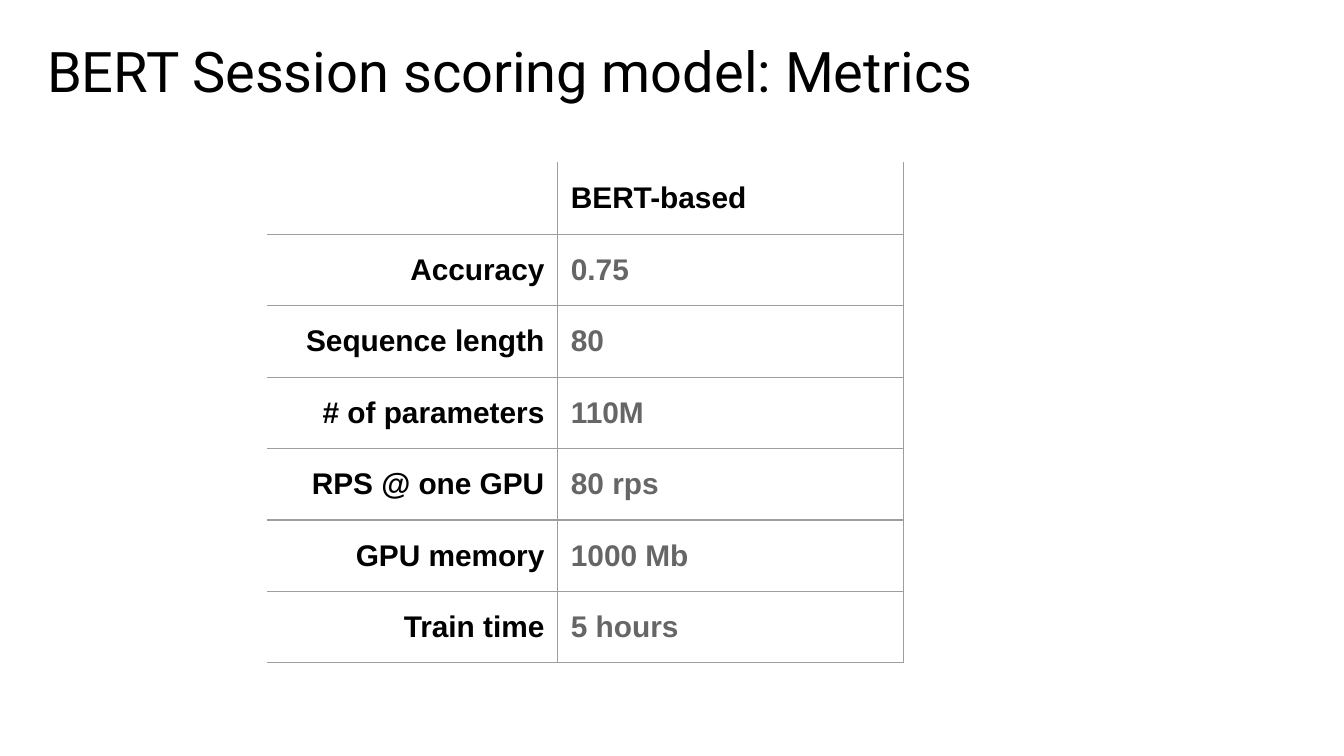
from lxml.etree import SubElement
from pptx import Presentation
from pptx.dml.color import RGBColor
from pptx.enum.text import MSO_ANCHOR, PP_ALIGN
from pptx.oxml.ns import qn
from pptx.util import Cm, Pt

BLACK = "000000"
GREY = "666666"
BORDER = "9E9E9E"
INSET = Cm(0.25)
METRICS = [
    ("", "BERT-based"),
    ("Accuracy", "0.75"),
    ("Sequence length", "80"),
    ("# of parameters", "110M"),
    ("RPS @ one GPU", "80 rps"),
    ("GPU memory", "1000 Mb"),
    ("Train time", "5 hours"),
]


def color(value):
    return RGBColor.from_string(value)


def set_insets(target):
    target.margin_left = target.margin_right = INSET
    target.margin_top = target.margin_bottom = INSET


def format_text(paragraph, font_name, size, font_color, bold=False):
    font = paragraph.runs[0].font if paragraph.runs else paragraph.font
    font.name = font_name
    font.size = Pt(size)
    font.bold = bold
    font.color.rgb = color(font_color)


def add_title(slide, text):
    shape = slide.shapes.add_textbox(Cm(0.64), Cm(0.45), Cm(22.4), Cm(1.7))
    text_frame = shape.text_frame
    text_frame.word_wrap = True
    set_insets(text_frame)
    text_frame.text = text
    format_text(text_frame.paragraphs[0], "Roboto", 30, BLACK)


def add_borders(cell, sides):
    properties = cell._tc.get_or_add_tcPr()
    for side in sides:
        line = SubElement(properties, qn(f"a:ln{side}"), w=str(Pt(0.75)))
        fill = SubElement(line, qn("a:solidFill"))
        SubElement(fill, qn("a:srgbClr"), val=BORDER)


def fill_cell(cell, text, font_color, alignment, sides):
    add_borders(cell, sides)
    cell.fill.background()
    set_insets(cell)
    cell.vertical_anchor = MSO_ANCHOR.MIDDLE
    cell.text_frame.text = text
    paragraph = cell.text_frame.paragraphs[0]
    paragraph.alignment = alignment
    format_text(paragraph, "Arial", 16, font_color, bold=True)


def add_metrics_table(slide):
    row_height = Cm(1.35)
    frame = slide.shapes.add_table(
        len(METRICS), 2, Cm(5.07), Cm(3.08), Cm(12), row_height * len(METRICS)
    )
    table = frame.table
    table.first_row = False
    table.horz_banding = False
    for column, width in zip(table.columns, (5.47, 6.53)):
        column.width = Cm(width)
    for index, (label, value) in enumerate(METRICS):
        is_header = index == 0
        top = "" if is_header else "T"
        value_color = BLACK if is_header else GREY
        table.rows[index].height = row_height
        fill_cell(table.cell(index, 0), label, BLACK, PP_ALIGN.RIGHT, f"R{top}B")
        fill_cell(
            table.cell(index, 1), value, value_color, PP_ALIGN.LEFT, f"LR{top}B"
        )


def main():
    presentation = Presentation()
    presentation.slide_width = Cm(25.4)
    presentation.slide_height = Cm(14.29)
    slide = presentation.slides.add_slide(presentation.slide_layouts[6])
    add_title(slide, "BERT Session scoring model: Metrics")
    add_metrics_table(slide)
    presentation.save("out.pptx")


if __name__ == "__main__":
    main()
